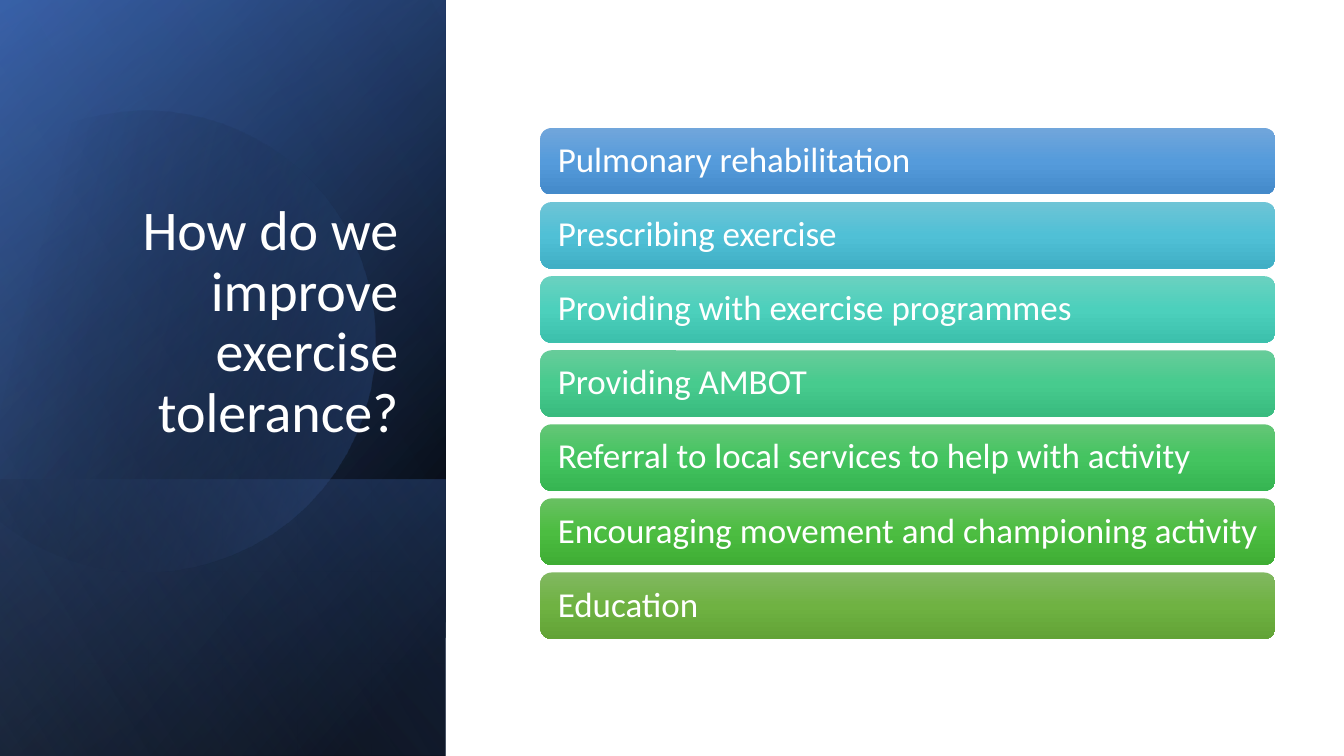
"""Build the slide on improving exercise tolerance."""
import math

import lxml.etree
import pptx
import pptx.dml.color
import pptx.enum.shapes
import pptx.enum.text
import pptx.oxml.ns
import pptx.util

WIDTH, HEIGHT = 13.33, 7.5
FONT, WHITE = "Calibri", "FFFFFF"
TITLE = "How do we improve exercise tolerance?"
BARS = [
    ("Pulmonary rehabilitation", "71A6DB", "559BDB", "448ACA"),
    ("Prescribing exercise", "6EC4D6", "50C0D6", "40AFC5"),
    ("Providing with exercise programmes", "6AD1C0", "4CD0BC", "3CC0AC"),
    ("Providing AMBOT", "67CC9A", "47CB8E", "39BB7F"),
    ("Referral to local services to help with activity", "64C677", "44C460", "36B552"),
    ("Encouraging movement and championing activity", "69C062", "4CBD41", "3FAD34"),
    ("Education", "81B861", "6FB242", "62A336"),
]
BAR_LEFT, BAR_TOP, BAR_WIDTH, BAR_HEIGHT, BAR_PITCH = 5.36, 1.27, 7.29, 0.66, 0.735

PANEL = (-1.54, 1.54, HEIGHT, 4.42)
BASE_PANELS = [
    (PANEL, [(8, "000000", 100), (100, "2F5597", 100)], 50),
    (PANEL, [(0, "000000", 0), (99, "4472C4", 46)], 30),
    ((0.84, 3.92, 2.74, 4.42), [(2, "4472C4", 29), (100, "000000", 30)], 130),
]
TOP_PANEL = (PANEL, [(0, "000000", 0), (99, "8FAADC", 11)], 120)

DISC_TURN = 343.9
DISC_CENTRE = (1.585, 3.345)
DISC_STOPS = [(29, "000000", 0), (100, "4472C4", 43)]
DISC_START = (1.49, 1.1)
DISC_CURVES = [
    [(2.46, 1.12), (3.35, 1.77), (3.63, 2.75)],
    [(3.98, 3.97), (3.28, 5.23), (2.07, 5.58)],
    [(1.31, 5.8), (0.53, 5.61), (-0.03, 5.14)],
    [(-0.15, 5.03)],
    [(-0.15, 1.75)],
    [(0, 1.61)],
    [(0.23, 1.42), (0.5, 1.28), (0.8, 1.19)],
    [(1.03, 1.13), (1.26, 1.1), (1.49, 1.1)],
]
CURVE_STEPS = 16


def inches(*lengths):
    return [pptx.util.Inches(length) for length in lengths]


def colour(value):
    return pptx.dml.color.RGBColor.from_string(value)


def paint(sp, stops, angle):
    sp.shadow.inherit = False
    sp.line.fill.background()
    sp.fill.background()
    qn = pptx.oxml.ns.qn
    grad = lxml.etree.Element(qn("a:gradFill"), rotWithShape="1")
    stop_list = lxml.etree.SubElement(grad, qn("a:gsLst"))
    for position, value, opacity in stops:
        stop = lxml.etree.SubElement(stop_list, qn("a:gs"), pos=str(position * 1000))
        rgb = lxml.etree.SubElement(stop, qn("a:srgbClr"), val=str(colour(value)))
        if opacity < 100:
            lxml.etree.SubElement(rgb, qn("a:alpha"), val=str(opacity * 1000))
    lxml.etree.SubElement(grad, qn("a:lin"), ang=str(angle * 60000), scaled="0")
    properties = sp._element.spPr
    properties.replace(properties.find(qn("a:noFill")), grad)


def write(sp, text, size, align, anchor, inset=0.1):
    tf = sp.text_frame
    tf.word_wrap = True
    tf.auto_size = pptx.enum.text.MSO_AUTO_SIZE.NONE
    tf.vertical_anchor = anchor
    tf.margin_left = tf.margin_right = pptx.util.Inches(inset)
    tf.margin_top = tf.margin_bottom = pptx.util.Inches(0.05)
    p = tf.paragraphs[0]
    p.alignment = align
    p.line_spacing = 0.9
    r = p.add_run()
    r.text = text
    r.font.name = FONT
    r.font.size = pptx.util.Pt(size)
    r.font.color.rgb = colour(WHITE)


def add_panel(s, box, stops, angle):
    sp = s.shapes.add_shape(pptx.enum.shapes.MSO_SHAPE.RECTANGLE, *inches(*box))
    sp.rotation = 90
    sp._element.spPr.xfrm.set("flipH", "1")
    paint(sp, stops, angle)


def bezier(a, b, c, d, t):
    u = 1 - t
    return tuple(u**3 * w + 3 * u * u * t * x + 3 * u * t * t * y + t**3 * z
                 for w, x, y, z in zip(a, b, c, d))


def unturn(point):
    turn = math.radians(-DISC_TURN)
    dx, dy = (v - c for v, c in zip(point, DISC_CENTRE))
    return (DISC_CENTRE[0] + dx * math.cos(turn) - dy * math.sin(turn),
            DISC_CENTRE[1] + dx * math.sin(turn) + dy * math.cos(turn))


def add_disc(s):
    points = [DISC_START]
    for curve in DISC_CURVES:
        if len(curve) == 1:
            points += curve
        else:
            start = points[-1]
            points += [bezier(start, *curve, i / CURVE_STEPS)
                       for i in range(1, CURVE_STEPS + 1)]
    outline = [inches(*unturn(point)) for point in points]
    builder = s.shapes.build_freeform(*outline[0])
    builder.add_line_segments(outline[1:], close=True)
    sp = builder.convert_to_shape()
    sp.rotation = DISC_TURN
    paint(sp, DISC_STOPS, 30)


def add_bar(s, row, text, *shades):
    top = BAR_TOP + row * BAR_PITCH
    sp = s.shapes.add_shape(pptx.enum.shapes.MSO_SHAPE.ROUNDED_RECTANGLE,
                            *inches(BAR_LEFT, top, BAR_WIDTH, BAR_HEIGHT))
    paint(sp, [(i * 50, shade, 100) for i, shade in enumerate(shades)], 90)
    write(sp, text, 25, pptx.enum.text.PP_ALIGN.LEFT,
          pptx.enum.text.MSO_ANCHOR.MIDDLE, inset=0.14)


def main():
    prs = pptx.Presentation()
    prs.slide_width, prs.slide_height = inches(WIDTH, HEIGHT)
    s = prs.slides.add_slide(prs.slide_layouts[5])
    for panel in BASE_PANELS:
        add_panel(s, *panel)
    add_disc(s)
    add_panel(s, *TOP_PANEL)

    title = s.shapes.title
    title.left, title.top, title.width, title.height = inches(0.64, 1.84, 3.41, 2.62)
    write(title, TITLE, 40, pptx.enum.text.PP_ALIGN.RIGHT,
          pptx.enum.text.MSO_ANCHOR.BOTTOM)
    s.shapes._spTree.append(title._element)

    for row, bar in enumerate(BARS):
        add_bar(s, row, *bar)
    prs.save("out.pptx")


if __name__ == "__main__":
    main()
